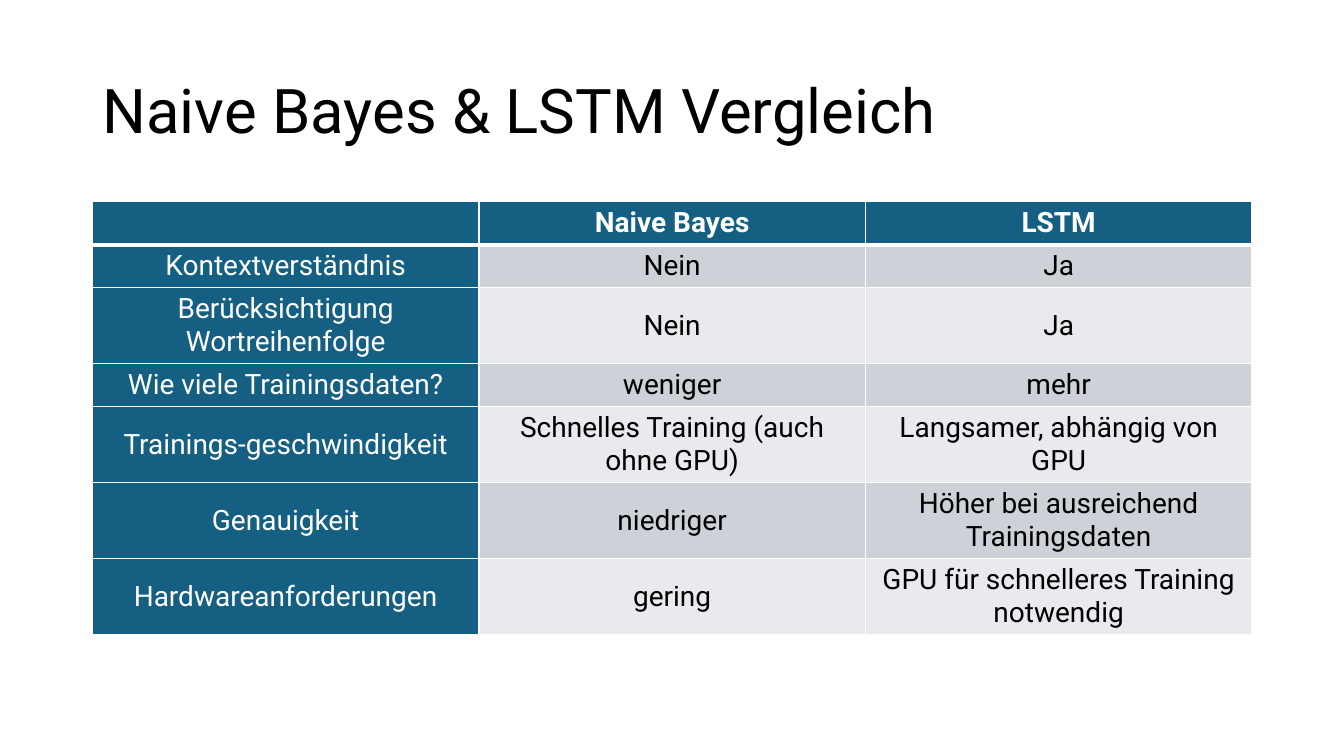
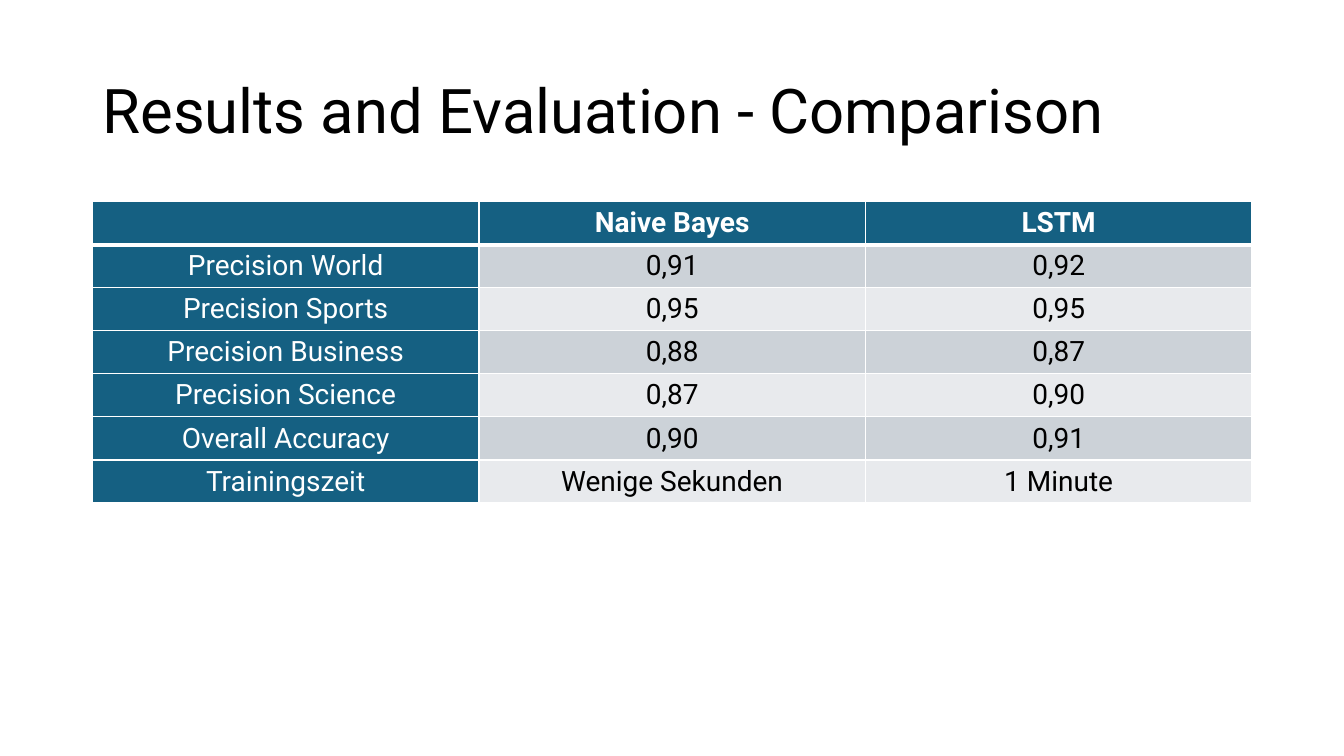
from lxml.etree import SubElement as Sub
from pptx import Presentation
from pptx.dml.color import RGBColor as Rgb
from pptx.enum.text import MSO_ANCHOR as Anchor, MSO_AUTO_SIZE as Fit, PP_ALIGN as Align
from pptx.oxml.ns import qn
from pptx.util import Cm, Pt

FONT = "Roboto"
BLUE, WHITE, BLACK = "156082", "FFFFFF", "000000"
BANDS = ("CCD2D8", "E8EAED")
LEFT, COL, ROW = 2.33, 9.74, 1.04
HEAD = ("", "Naive Bayes", "LSTM")

SLIDES = [
    ("Naive Bayes & LSTM Vergleich", [
        ("Kontextverständnis", "Nein", "Ja"),
        ("Berücksichtigung Wortreihenfolge", "Nein", "Ja"),
        ("Wie viele Trainingsdaten?", "weniger", "mehr"),
        ("Trainings-geschwindigkeit", "Schnelles Training (auch ohne GPU)",
         "Langsamer, abhängig von GPU"),
        ("Genauigkeit", "niedriger", "Höher bei ausreichend Trainingsdaten"),
        ("Hardwareanforderungen", "gering", "GPU für schnelleres Training notwendig"),
    ]),
    ("Results and Evaluation - Comparison", [
        ("Precision World", "0,91", "0,92"),
        ("Precision Sports", "0,95", "0,95"),
        ("Precision Business", "0,88", "0,87"),
        ("Precision Science", "0,87", "0,90"),
        ("Overall Accuracy", "0,90", "0,91"),
        ("Trainingszeit", "Wenige Sekunden", "1 Minute"),
    ]),
]


def rgb(code):
    return Rgb.from_string(code)


def write(frame, text, size, color, align, bold=False):
    para = frame.paragraphs[0]
    para.alignment = align
    if text:
        run = para.add_run()
        run.text = text
        font = run.font
        font.name, font.size, font.bold = FONT, Pt(size), bold
        font.color.rgb = rgb(color)
    return para


def add_title(slide, text):
    title = slide.shapes.title
    title.left, title.top = Cm(LEFT), Cm(1.01)
    title.width, title.height = Cm(3 * COL), Cm(3.68)
    frame = title.text_frame
    frame.word_wrap, frame.auto_size = True, Fit.NONE
    frame.vertical_anchor = Anchor.MIDDLE
    write(frame, text, 44, BLACK, Align.LEFT).line_spacing = 0.9


def add_edges(cell, row):
    props = cell._tc.get_or_add_tcPr()
    thick = {0: "lnB", 1: "lnT"}.get(row)
    for side in ("lnL", "lnR", "lnT", "lnB"):
        line = Sub(props, qn("a:" + side), w=str(Pt(3 if side == thick else 1)))
        fill = Sub(line, qn("a:solidFill"))
        Sub(fill, qn("a:srgbClr"), val=WHITE)


def add_grid(slide, rows):
    grid = slide.shapes.add_table(
        len(rows), len(HEAD), Cm(LEFT), Cm(5.08),
        Cm(COL * len(HEAD)), Cm(ROW * len(rows))).table
    for col in grid.columns:
        col.width = Cm(COL)
    for r, row in enumerate(rows):
        grid.rows[r].height = Cm(ROW)
        for c, text in enumerate(row):
            cell = grid.cell(r, c)
            label = r == 0 or c == 0
            add_edges(cell, r)
            cell.fill.solid()
            cell.fill.fore_color.rgb = rgb(BLUE if label else BANDS[(r - 1) % 2])
            cell.vertical_anchor = Anchor.MIDDLE
            write(cell.text_frame, text, 20, WHITE if label else BLACK,
                  Align.CENTER, r == 0)


def main():
    deck = Presentation()
    deck.slide_width, deck.slide_height = Cm(33.87), Cm(19.05)
    for title, rows in SLIDES:
        slide = deck.slides.add_slide(deck.slide_layouts[5])
        add_title(slide, title)
        add_grid(slide, [HEAD] + rows)
    deck.save("out.pptx")


if __name__ == "__main__":
    main()
